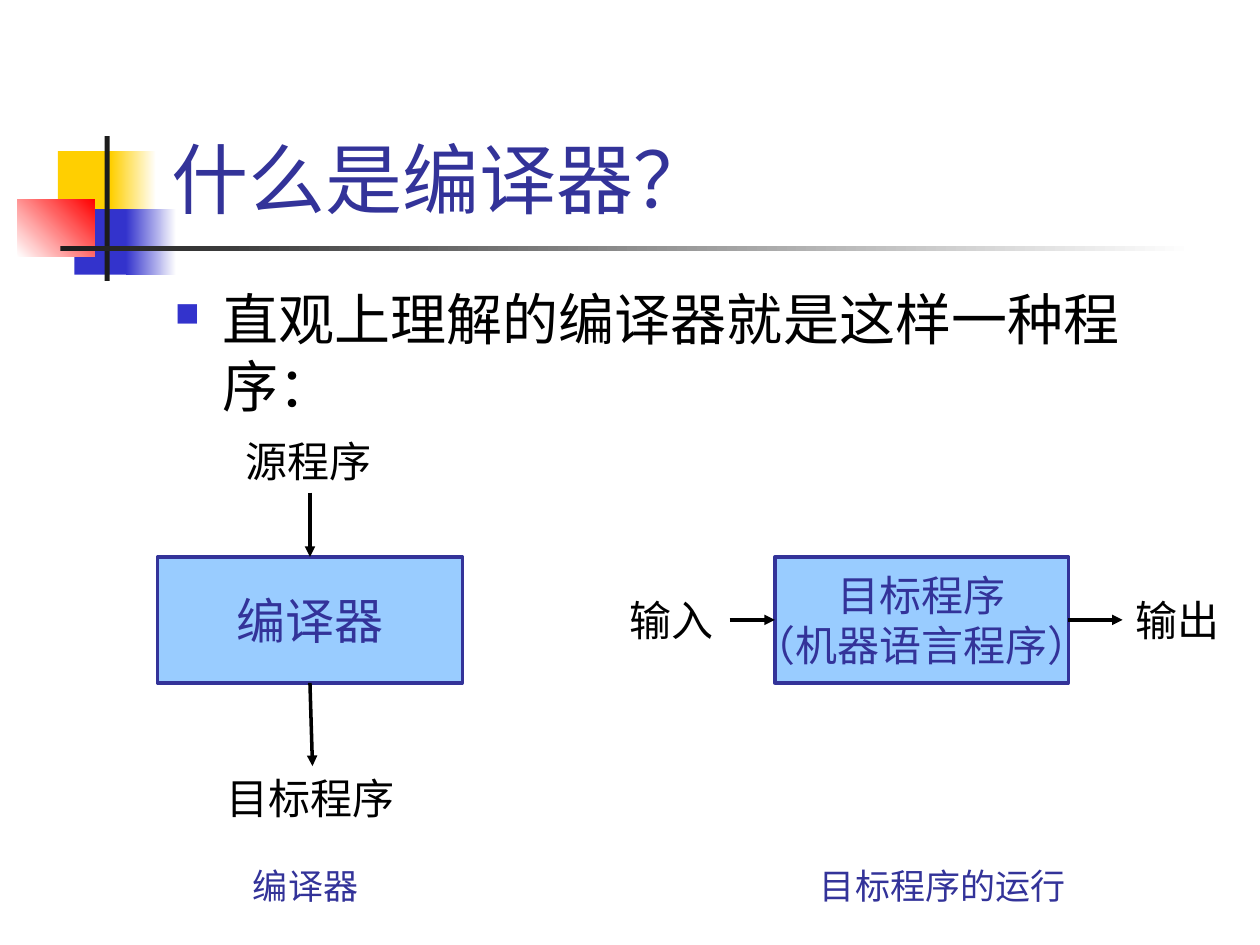
from lxml import etree
from pptx import Presentation
from pptx.dml.color import RGBColor
from pptx.enum.shapes import MSO_CONNECTOR, MSO_SHAPE
from pptx.enum.text import MSO_ANCHOR, MSO_AUTO_SIZE, PP_ALIGN
from pptx.oxml.ns import qn
from pptx.util import Emu, Pt

RECT, STRAIGHT = MSO_SHAPE.RECTANGLE, MSO_CONNECTOR.STRAIGHT
TOP, MIDDLE, BOTTOM = MSO_ANCHOR.TOP, MSO_ANCHOR.MIDDLE, MSO_ANCHOR.BOTTOM
CENTER, FIT = PP_ALIGN.CENTER, MSO_AUTO_SIZE.SHAPE_TO_FIT_TEXT
SIDE_TOP, SIDE_LEFT, SIDE_BOTTOM, SIDE_RIGHT = range(4)
FONT = "Karla"
COLORS = {
    "yellow": "FFCF01", "blue": "3333CC", "red": "FF0000", "dark": "1C1C1C",
    "white": "FFFFFF", "black": "000000", "navy": "333399", "sky": "99CCFF",
}


def px(n):
    """100 px to the inch."""
    return Emu(n * 9144)


def rgb(name):
    return RGBColor.from_string(COLORS[name])


def add_rect(s, box, color, end=None, angle=0):
    """Borderless rectangle, fading from color to end when end is given."""
    sp = s.shapes.add_shape(RECT, *map(px, box))
    sp.shadow.inherit = False
    sp.line.fill.background()
    if end:
        sp.fill.gradient()
        sp.fill.gradient_angle = angle
        for stop, name in zip(sp.fill.gradient_stops, (color, end)):
            stop.color.rgb = rgb(name)
    else:
        sp.fill.solid()
        sp.fill.fore_color.rgb = rgb(color)
    return sp


def set_text(sp, text, size, color, anchor=TOP, wrap=False):
    tf = sp.text_frame
    tf.text = text
    tf.word_wrap = wrap
    tf.vertical_anchor = anchor
    for p in tf.paragraphs:
        for r in p.runs:
            r.font.name = FONT
            r.font.size = Pt(size)
            r.font.color.rgb = rgb(color)
            etree.SubElement(r.font._element, qn("a:ea"), typeface=FONT)
    return tf


def add_label(s, box, text, size=24, color="black"):
    sp = s.shapes.add_textbox(*map(px, box))
    set_text(sp, text, size, color).auto_size = FIT
    return sp


def add_process(s, box, text, size):
    sp = add_rect(s, box, "sky")
    sp.line.color.rgb = rgb("navy")
    sp.line.width = Pt(2)
    for p in set_text(sp, text, size, "navy", MIDDLE).paragraphs:
        p.alignment = CENTER
    return sp


def add_arrow(s, start, start_side, end, end_side):
    c = s.shapes.add_connector(STRAIGHT, 0, 0, 0, 0)
    c.begin_connect(start, start_side)
    c.end_connect(end, end_side)
    c.line.color.rgb = rgb("black")
    c.line.width = Pt(2)
    etree.SubElement(c.line._get_or_add_ln(), qn("a:tailEnd"), type="triangle")
    etree.SubElement(c._element.spPr, qn("a:effectLst"))


def add_ornament(s, x, y):
    add_rect(s, (x + 32, y + 12, 48, 52), "yellow")
    add_rect(s, (x + 74, y + 12, 36, 52), "yellow", "white")
    add_rect(s, (x + 45, y + 58, 46, 52), "blue")
    add_rect(s, (x + 86, y + 58, 40, 52), "blue", "white")
    add_rect(s, (x, y + 50, 61, 46), "white", "red", 45)
    add_rect(s, (x + 69, y, 4, 115), "dark")
    add_rect(s, (x + 34, y + 87, 900, 4), "dark", "white")


def add_title(s, box, text):
    sp = s.shapes.add_textbox(*map(px, box))
    set_text(sp, text, 44, "navy", BOTTOM, wrap=True)


def add_body(s, box, text):
    """Bulleted text whose closing punctuation stays inside the margin."""
    sp = s.shapes.add_textbox(*map(px, box))
    p = set_text(sp, text, 32, "black", wrap=True).paragraphs[0]
    pPr = p._p.get_or_add_pPr()
    pPr.set("marL", str(px(38)))
    pPr.set("indent", str(-px(38)))
    pPr.set("hangingPunct", "0")
    bu_color = etree.SubElement(pPr, qn("a:buClr"))
    etree.SubElement(bu_color, qn("a:srgbClr"), val=COLORS["blue"])
    etree.SubElement(pPr, qn("a:buSzPct"), val="60000")
    etree.SubElement(pPr, qn("a:buChar"), char="■")


def add_compile_flow(s, x, y):
    """Source program, down through the compiler, to target program."""
    compiler = add_process(s, (x, y + 101, 242, 100), "编译器", 28)
    source = add_label(s, (x + 60, y, 122, 50), "源程序")
    target = add_label(s, (x + 45, y + 267, 156, 50), "目标程序")
    add_arrow(s, source, SIDE_BOTTOM, compiler, SIDE_TOP)
    add_arrow(s, compiler, SIDE_BOTTOM, target, SIDE_TOP)
    add_label(s, (x + 66, y + 340, 106, 44), "编译器", 20, "navy")


def add_run_flow(s, x, y):
    """Input, across through the target program, to output."""
    program = add_process(s, (x + 125, y, 233, 100), "目标程序\n（机器语言程序）", 24)
    source = add_label(s, (x, y + 25, 89, 50), "输入")
    result = add_label(s, (x + 401, y + 25, 89, 50), "输出")
    add_arrow(s, source, SIDE_RIGHT, program, SIDE_LEFT)
    add_arrow(s, program, SIDE_RIGHT, result, SIDE_LEFT)
    add_label(s, (x + 151, y + 239, 217, 44), "目标程序的运行", 20, "navy")


def main():
    prs = Presentation()
    prs.slide_width, prs.slide_height = px(1000), px(750)
    s = prs.slides.add_slide(prs.slide_layouts[6])
    add_ornament(s, 14, 108)
    add_title(s, (126, 23, 852, 160), "什么是编译器？")
    add_body(s, (129, 221, 850, 450), "直观上理解的编译器就是这样一种程序：")
    add_compile_flow(s, 125, 341)
    add_run_flow(s, 490, 442)
    prs.save("out.pptx")


if __name__ == "__main__":
    main()
